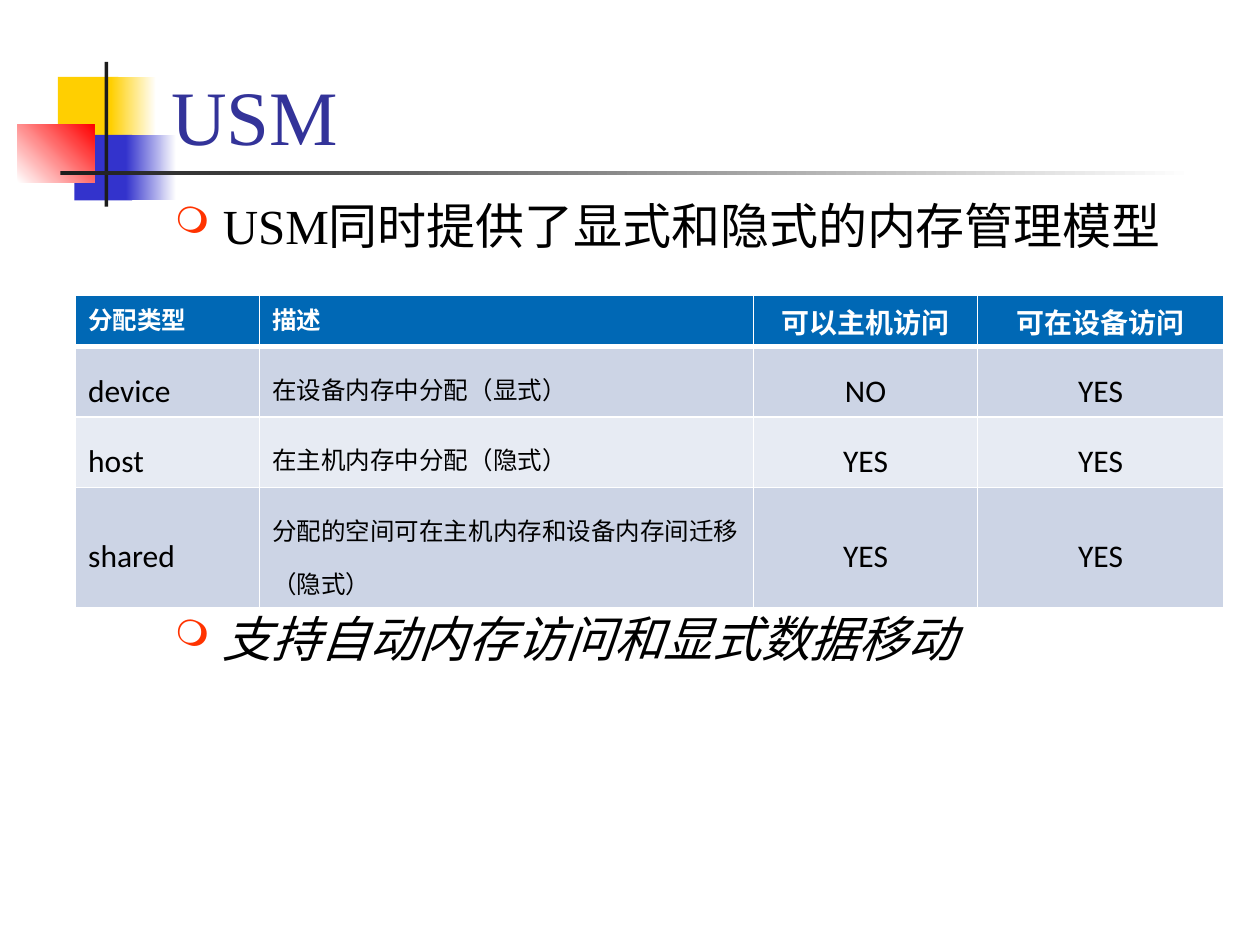
from lxml.etree import SubElement
from pptx import Presentation
from pptx.dml.color import RGBColor
from pptx.enum.shapes import MSO_SHAPE
from pptx.enum.text import MSO_ANCHOR, PP_ALIGN
from pptx.oxml.ns import qn
from pptx.util import Inches, Pt

SERIF, SANS, CHINESE = "Times New Roman", "Calibri", "Noto Sans CJK SC"
COLUMNS = [1.46, 3.92, 1.78, 1.95]
ROWS = [0.41, 0.56, 0.56, 0.95]
CELLS = [
    ["分配类型", "描述", "可以主机访问", "可在设备访问"],
    ["device", "在设备内存中分配（|显式|）", "NO", "YES"],
    ["host", "在主机内存中分配（|隐式|）", "YES", "YES"],
    ["shared", "分配的空间可在主机内存和设备内存间迁移（|隐式|）", "YES", "YES"],
]


def color(value):
    """Turn a hex string into a colour."""
    return RGBColor.from_string(value)


def add_block(page, left, top, width, height, start, end=None, angle=0):
    """Add a borderless rectangle in one colour or a two-colour gradient."""
    block = page.shapes.add_shape(
        MSO_SHAPE.RECTANGLE, Inches(left), Inches(top), Inches(width), Inches(height))
    block.shadow.inherit = False
    block.line.fill.background()
    if end is None:
        block.fill.solid()
        block.fill.fore_color.rgb = color(start)
        return
    block.fill.gradient()
    block.fill.gradient_angle = angle
    for stop, value, position in zip(block.fill.gradient_stops, (start, end), (0, 1)):
        stop.color.rgb = color(value)
        stop.position = position


def add_box(page, left, top, width, height, anchor):
    """Add a wrapping text box and return its text frame."""
    box = page.shapes.add_textbox(Inches(left), Inches(top), Inches(width), Inches(height))
    frame = box.text_frame
    frame.word_wrap = True
    frame.vertical_anchor = anchor
    return frame


def write(paragraph, text, size, name, value, bold=False, italic=False):
    """Fill a paragraph; parts between bars use the Chinese font."""
    font = paragraph.font
    font.size, font.name, font.bold, font.italic = Pt(size), name, bold, italic
    font.color.rgb = color(value)
    defaults = paragraph._p.pPr.find(qn("a:defRPr"))
    SubElement(defaults, qn("a:ea")).set("typeface", CHINESE)
    for index, part in enumerate(text.split("|")):
        span = paragraph.add_run()
        span.text = part
        if index % 2:
            span.font.name = CHINESE


def add_bullet(paragraph):
    """Give a paragraph a hanging orange ring bullet."""
    properties = paragraph._p.get_or_add_pPr()
    properties.set("marL", str(Inches(0.38)))
    properties.set("indent", str(-Inches(0.38)))
    tint = SubElement(properties, qn("a:buClr"))
    SubElement(tint, qn("a:srgbClr")).set("val", "FF3300")
    SubElement(properties, qn("a:buSzPct")).set("val", "75000")
    SubElement(properties, qn("a:buChar")).set("char", "❍")


def set_borders(cell, row):
    """Draw white cell borders, thicker below the header."""
    widths = {"L": 1, "R": 1, "T": 3 if row == 1 else 1, "B": 3 if row == 0 else 1}
    properties = cell._tc.get_or_add_tcPr()
    for side, width in widths.items():
        line = SubElement(properties, qn(f"a:ln{side}"))
        line.set("w", str(Pt(width)))
        fill = SubElement(line, qn("a:solidFill"))
        SubElement(fill, qn("a:srgbClr")).set("val", "FFFFFF")


def style_cell(cell, text, row, column):
    """Write and format one table cell."""
    header, description = row == 0, column == 1
    set_borders(cell, row)
    cell.fill.solid()
    cell.fill.fore_color.rgb = color("0068B5" if header else ("E7EBF3", "CCD4E5")[row % 2])
    cell.vertical_anchor = MSO_ANCHOR.TOP if header or description else MSO_ANCHOR.MIDDLE
    paragraph = cell.text_frame.paragraphs[0]
    if column > 1:
        paragraph.alignment = PP_ALIGN.CENTER
    if header:
        write(paragraph, text, 16 if column > 1 else 14, SANS, "FFFFFF", bold=True)
    else:
        paragraph.line_spacing = 1.5
        write(paragraph, text, 14 if description else 18, SANS, "000000")


def add_allocation_table(page):
    """Add the table of allocation types."""
    table = page.shapes.add_table(
        len(ROWS), len(COLUMNS), Inches(0.6), Inches(2.34),
        Inches(sum(COLUMNS)), Inches(sum(ROWS))).table
    for column, width in zip(table.columns, COLUMNS):
        column.width = Inches(width)
    for row, height in zip(table.rows, ROWS):
        row.height = Inches(height)
    for row, texts in enumerate(CELLS):
        for column, text in enumerate(texts):
            style_cell(table.cell(row, column), text, row, column)


def add_ornament(page):
    """Add the coloured squares and the crossing bars."""
    add_block(page, 0.46, 0.61, 0.48, 0.52, "FFCF01")
    add_block(page, 0.88, 0.61, 0.36, 0.52, "FFCF01", "FFFFFF")
    add_block(page, 0.59, 1.07, 0.46, 0.52, "3333CC")
    add_block(page, 1, 1.07, 0.4, 0.52, "3333CC", "FFFFFF")
    add_block(page, 0.14, 0.99, 0.61, 0.46, "FFFFFF", "FF0000", 45)
    add_block(page, 0.83, 0.49, 0.03, 1.15, "1C1C1C")
    add_block(page, 0.48, 1.36, 9, 0.03, "1C1C1C", "FFFFFF")


def main():
    """Build the slide and save it."""
    deck = Presentation()
    deck.slide_width, deck.slide_height = Inches(10), Inches(7.5)
    page = deck.slides.add_slide(deck.slide_layouts[6])
    add_ornament(page)
    title = add_box(page, 1.26, 0.08, 8.52, 1.25, MSO_ANCHOR.BOTTOM)
    write(title.paragraphs[0], "USM", 44, SERIF, "333399")
    body = add_box(page, 1.29, 1.5, 8.5, 5.17, MSO_ANCHOR.TOP)
    first, last = body.paragraphs[0], body.add_paragraph()
    for paragraph in (first, last):
        add_bullet(paragraph)
    last.space_before = Pt(202.5)
    write(first, "USM同时提供了|显式|和|隐式|的内存管理模型", 28, SERIF, "000000")
    write(last, "支持自动内存访问和显式数据移动", 28, SERIF, "000000", italic=True)
    add_allocation_table(page)
    deck.save("out.pptx")


if __name__ == "__main__":
    main()
